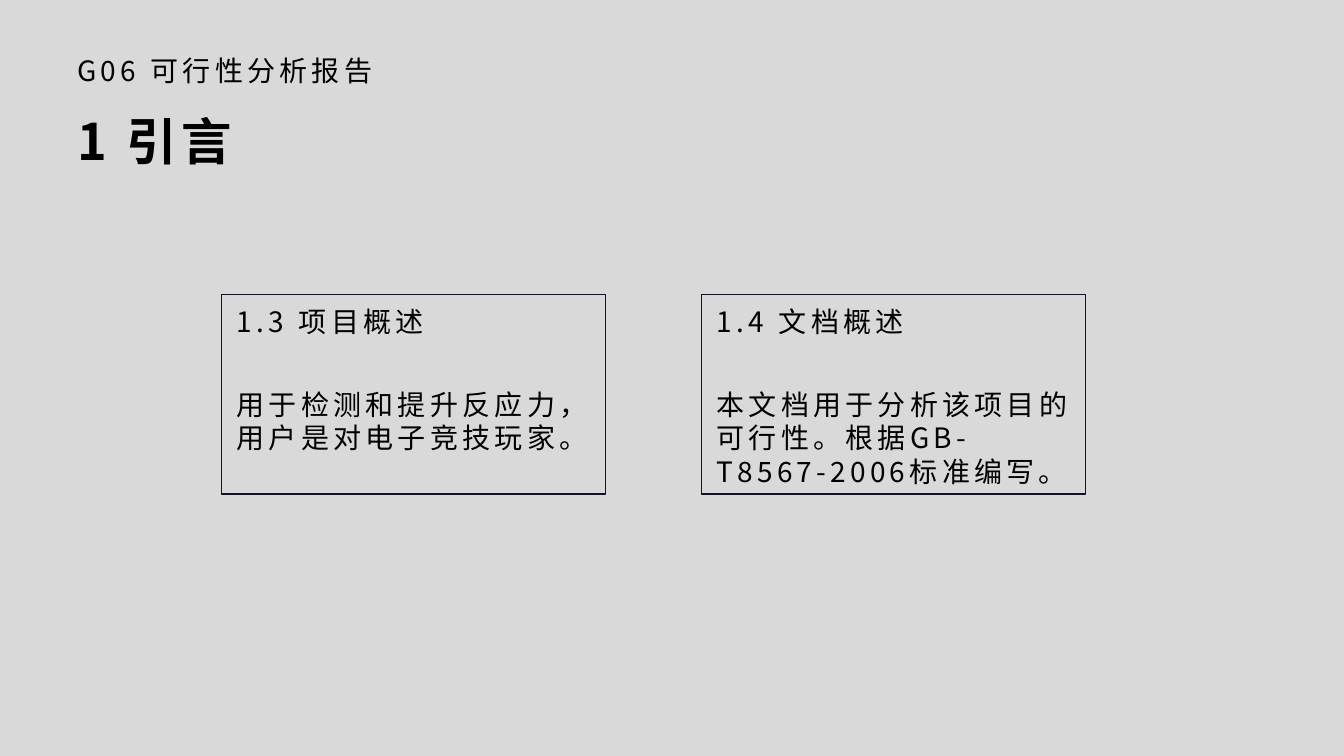
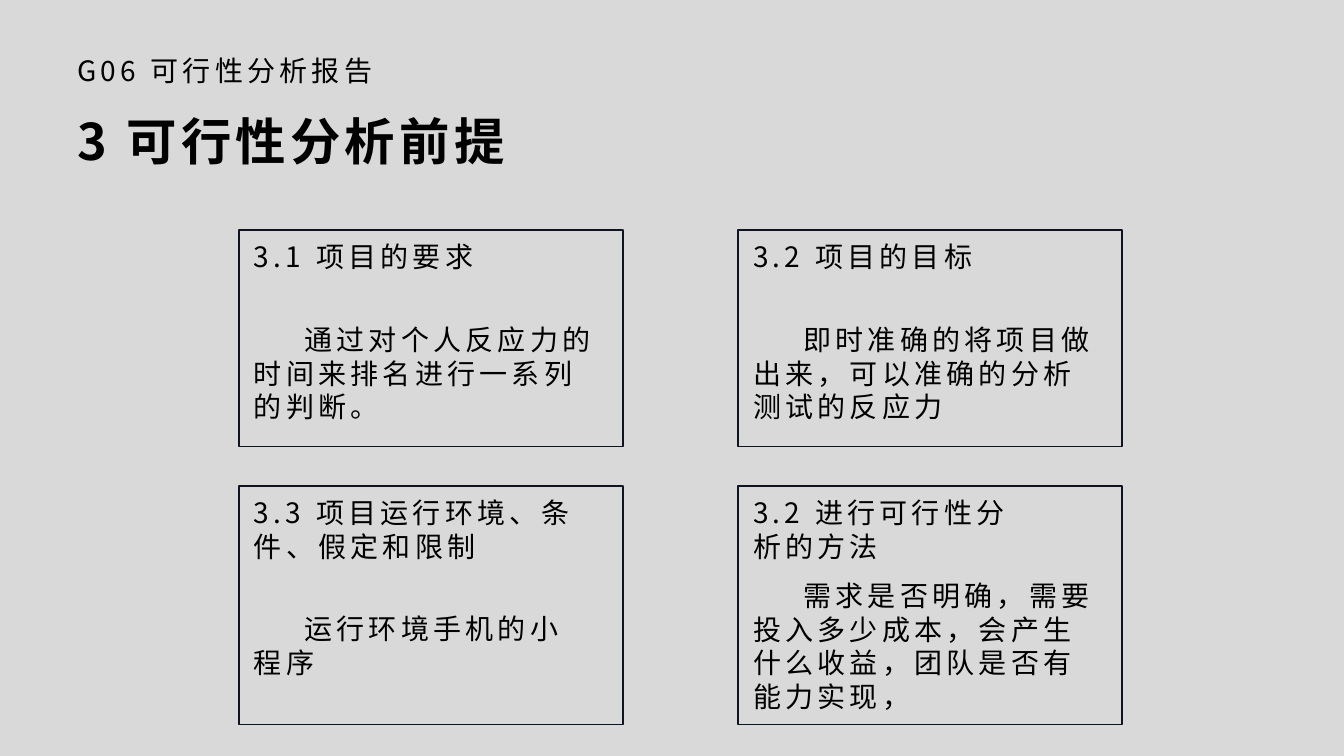
from dataclasses import dataclass

from pptx import Presentation
from pptx.dml.color import RGBColor
from pptx.enum.shapes import MSO_SHAPE
from pptx.oxml.ns import qn
from pptx.util import Inches, Pt

RECTANGLE = MSO_SHAPE.RECTANGLE
BLANK_LAYOUT = 6

# Shared style
SLIDE_WIDTH, SLIDE_HEIGHT = 13.33, 7.5
BACKGROUND = RGBColor(0xD9, 0xD9, 0xD9)
TEXT_COLOUR = RGBColor(0, 0, 0)
FRAME_COLOUR = RGBColor(0x0F, 0x14, 0x23)
FONT = "Noto Sans CJK SC"
LETTER_SPACING = 3
REPORT_NAME = "G06 可行性分析报告"

# Shared measures, in inches
MARGIN = SLIDE_WIDTH / 20
TITLE_WIDTH = 4.65
CARD_WIDTH = SLIDE_WIDTH * 2 / 7
CARD_PADDING = 0.05
TEXT_WIDTH = 3.76
NARROW_WIDTH = 3.61
HEADING_HEIGHT = 0.44
BODY_OFFSET = 0.87
LINE_HEIGHT = 0.33


@dataclass(frozen=True)
class Card:
    heading: str
    body: str
    heading_width: float = NARROW_WIDTH
    body_width: float = NARROW_WIDTH
    lines_down: int = 0


@dataclass(frozen=True)
class CardGrid:
    left: float
    top: float
    column_pitch: float
    row_heights: tuple[float, ...]
    row_gap: float = 0.39
    columns: int = 2

    def cell(self, index: int) -> tuple[float, float, float]:
        """Return the left, top and height of one card."""
        row, column = divmod(index, self.columns)
        top = self.top + sum(self.row_heights[:row]) + row * self.row_gap
        return self.left + column * self.column_pitch, top, self.row_heights[row]


@dataclass(frozen=True)
class Section:
    title: str
    grid: CardGrid
    cards: tuple[Card, ...]
    first_line_indent: float = 0


SECTIONS = (
    Section(
        "1 引言",
        CardGrid(left=2.2, top=2.92, column_pitch=4.76, row_heights=(1.98,)),
        (
            Card("1.3 项目概述", "用于检测和提升反应力，用户是对电子竞技玩家。",
                 body_width=TEXT_WIDTH),
            Card("1.4 文档概述", "本文档用于分析该项目的可行性。根据GB-T8567-2006标准编写。",
                 body_width=TEXT_WIDTH),
        ),
    ),
    Section(
        "3 可行性分析前提",
        CardGrid(left=2.37, top=2.28, column_pitch=4.95, row_heights=(2.15, 2.37)),
        (
            Card("3.1 项目的要求", "通过对个人反应力的时间来排名进行一系列的判断。"),
            Card("3.2 项目的目标", "即时准确的将项目做出来，可以准确的分析测试的反应力"),
            Card("3.3 项目运行环境、条件、假定和限制", "运行环境手机的小程序",
                 body_width=3.33, lines_down=1),
            Card("3.2 进行可行性分析的方法",
                 "需求是否明确，需要投入多少成本，会产生什么收益，团队是否有能力实现，",
                 heading_width=3.05),
        ),
        first_line_indent=0.5,
    ),
)


def add_text(slide, text: str, left: float, top: float, width: float, *,
             height: float = HEADING_HEIGHT, size: float = 20,
             bold: bool = False, indent: float = 0) -> None:
    """Add one wrapped, letter-spaced paragraph."""
    box = slide.shapes.add_textbox(
        Inches(left), Inches(top), Inches(width), Inches(height))
    frame = box.text_frame
    frame.word_wrap = True
    paragraph = frame.paragraphs[0]
    if indent:
        properties = paragraph._p.get_or_add_pPr()
        properties.set("marL", "0")
        properties.set("indent", str(Inches(indent)))
    run = paragraph.add_run()
    run.text = text
    run.font.name = FONT
    run.font.size = Pt(size)
    run.font.bold = bold
    run.font.color.rgb = TEXT_COLOUR
    # Letter spacing and East Asian font
    run_properties = run._r.get_or_add_rPr()
    run_properties.set("spc", str(LETTER_SPACING * 100))
    east_asian = run_properties.makeelement(qn("a:ea"), {"typeface": FONT})
    run_properties.find(qn("a:latin")).addnext(east_asian)


def add_frame(slide, left: float, top: float, height: float) -> None:
    """Add the outline of one card."""
    shape = slide.shapes.add_shape(
        RECTANGLE, Inches(left), Inches(top), Inches(CARD_WIDTH), Inches(height))
    shape.shadow.inherit = False
    shape.fill.background()
    shape.line.color.rgb = FRAME_COLOUR
    shape.line.width = Pt(1)


def add_card(slide, card: Card, cell: tuple[float, float, float],
             indent: float) -> None:
    """Add a frame with its heading and body."""
    left, top, height = cell
    add_frame(slide, left, top, height)
    text_left = left + CARD_PADDING
    add_text(slide, card.heading, text_left, top + CARD_PADDING, card.heading_width)
    body_offset = BODY_OFFSET + card.lines_down * LINE_HEIGHT
    add_text(slide, card.body, text_left, top + body_offset, card.body_width,
             height=height - body_offset, indent=indent)


def add_section(presentation, section: Section) -> None:
    """Add one slide: report name, title and grid of cards."""
    slide = presentation.slides.add_slide(presentation.slide_layouts[BLANK_LAYOUT])
    add_text(slide, REPORT_NAME, MARGIN, 0.48, TITLE_WIDTH)
    add_text(slide, section.title, MARGIN, 1.04, TITLE_WIDTH,
             height=0.71, size=36, bold=True)
    for index, card in enumerate(section.cards):
        add_card(slide, card, section.grid.cell(index), section.first_line_indent)


def main() -> None:
    presentation = Presentation()
    presentation.slide_width = Inches(SLIDE_WIDTH)
    presentation.slide_height = Inches(SLIDE_HEIGHT)
    background = presentation.slide_master.background.fill
    background.solid()
    background.fore_color.rgb = BACKGROUND
    for section in SECTIONS:
        add_section(presentation, section)
    presentation.save("out.pptx")


if __name__ == "__main__":
    main()
